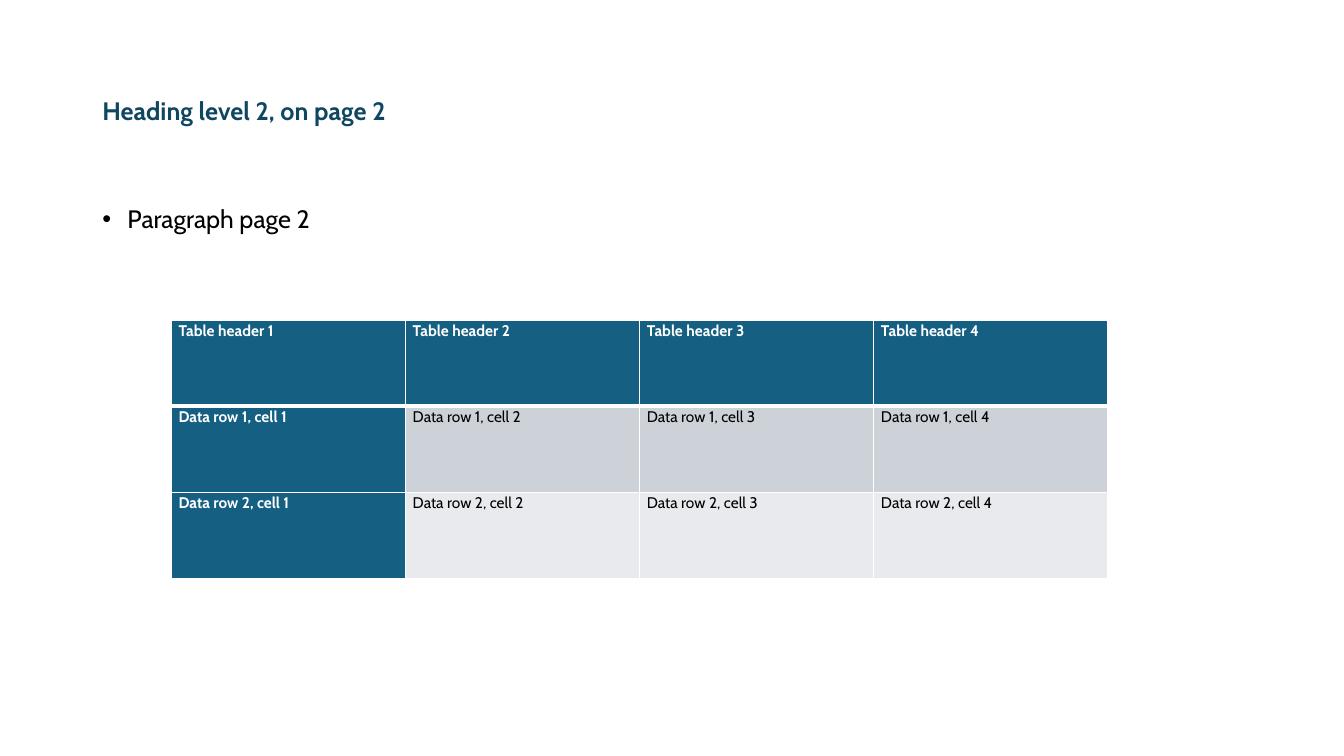
from lxml.etree import SubElement
from pptx import Presentation
from pptx.dml.color import RGBColor
from pptx.enum.text import MSO_ANCHOR
from pptx.oxml import parse_xml
from pptx.oxml.ns import nsdecls, qn
from pptx.util import Pt

PX = 9525
FONT = "Cabin"
WHITE = RGBColor(0xFF, 0xFF, 0xFF)
BLACK = RGBColor(0x00, 0x00, 0x00)
NAVY = RGBColor(0x0F, 0x47, 0x61)
TEAL = RGBColor(0x15, 0x60, 0x82)
GREY = RGBColor(0xCC, 0xD2, 0xD8)
PALE = RGBColor(0xE8, 0xEA, 0xED)


def write(frame, text, *, size=18, color=BLACK, bold=False, spacing=0.9, before=0, bullet=None, indent=0):
    """Put one formatted paragraph into a text frame."""
    frame.word_wrap = True
    paragraph = frame.paragraphs[0]
    paragraph.line_spacing = spacing
    paragraph.space_before = Pt(before)
    run = paragraph.add_run()
    run.text = text
    run.font.name = FONT
    run.font.size = Pt(size)
    run.font.bold = bold
    run.font.color.rgb = color
    if bullet:
        properties = paragraph._p.get_or_add_pPr()
        properties.set("marL", str(indent * PX))
        properties.set("indent", str(-indent * PX))
        SubElement(properties, qn("a:buFont"), typeface="Arial")
        SubElement(properties, qn("a:buChar"), char=bullet)


class SlideBuilder:
    """Hold the slide and draw its elements in px."""

    def __init__(self, width, height):
        self.deck = Presentation()
        self.deck.slide_width = width * PX
        self.deck.slide_height = height * PX
        self.slide = self.deck.slides.add_slide(self.deck.slide_layouts[6])

    def text(self, left, top, width, height, wording, anchor=MSO_ANCHOR.TOP, **style):
        """Add a wrapped text box."""
        box = self.slide.shapes.add_textbox(left * PX, top * PX, width * PX, height * PX)
        box.text_frame.vertical_anchor = anchor
        write(box.text_frame, wording, **style)

    def table(self, left, top, column_width, row_height, rows, row_fills):
        """Add a table with a header row and a header column."""
        column_count = len(rows[0])
        table = self.slide.shapes.add_table(
            len(rows), column_count, left * PX, top * PX,
            column_width * column_count * PX, row_height * len(rows) * PX).table
        for r, (wordings, row_fill) in enumerate(zip(rows, row_fills)):
            for c, wording in enumerate(wordings):
                is_header = r == 0 or c == 0
                cell = table.cell(r, c)
                cell.margin_left = cell.margin_right = 7 * PX
                cell.margin_top = cell.margin_bottom = 0
                cell.fill.solid()
                cell.fill.fore_color.rgb = TEAL if is_header else row_fill
                write(cell.text_frame, wording, size=11, bold=is_header, spacing=1.07,
                      color=WHITE if is_header else BLACK)
                self.borders(cell, top=3 if r == 1 else 1, bottom=3 if r == 0 else 1)

    def borders(self, cell, top, bottom):
        """Give a cell white borders, with widths in points."""
        properties = cell._tc.get_or_add_tcPr()
        for place, (side, width) in enumerate({"L": 1, "R": 1, "T": top, "B": bottom}.items()):
            properties.insert(place, parse_xml(
                f'<a:ln{side} {nsdecls("a")} w="{Pt(width)}"><a:solidFill>'
                f'<a:srgbClr val="{WHITE}"/></a:solidFill></a:ln{side}>'))


def main():
    """Build and save the slide."""
    page = SlideBuilder(1280, 720)
    page.text(88, 38, 1104, 139, "Heading level 2, on page 2", MSO_ANCHOR.MIDDLE, color=NAVY, bold=True)
    page.text(88, 192, 1104, 457, "Paragraph page 2", before=10, bullet="•", indent=24)
    headers = [f"Table header {c}" for c in range(1, 5)]
    data = [[f"Data row {r}, cell {c}" for c in range(1, 5)] for r in (1, 2)]
    page.table(163, 305, 223, 82, [headers, *data], [TEAL, GREY, PALE])
    page.deck.save("out.pptx")


if __name__ == "__main__":
    main()
